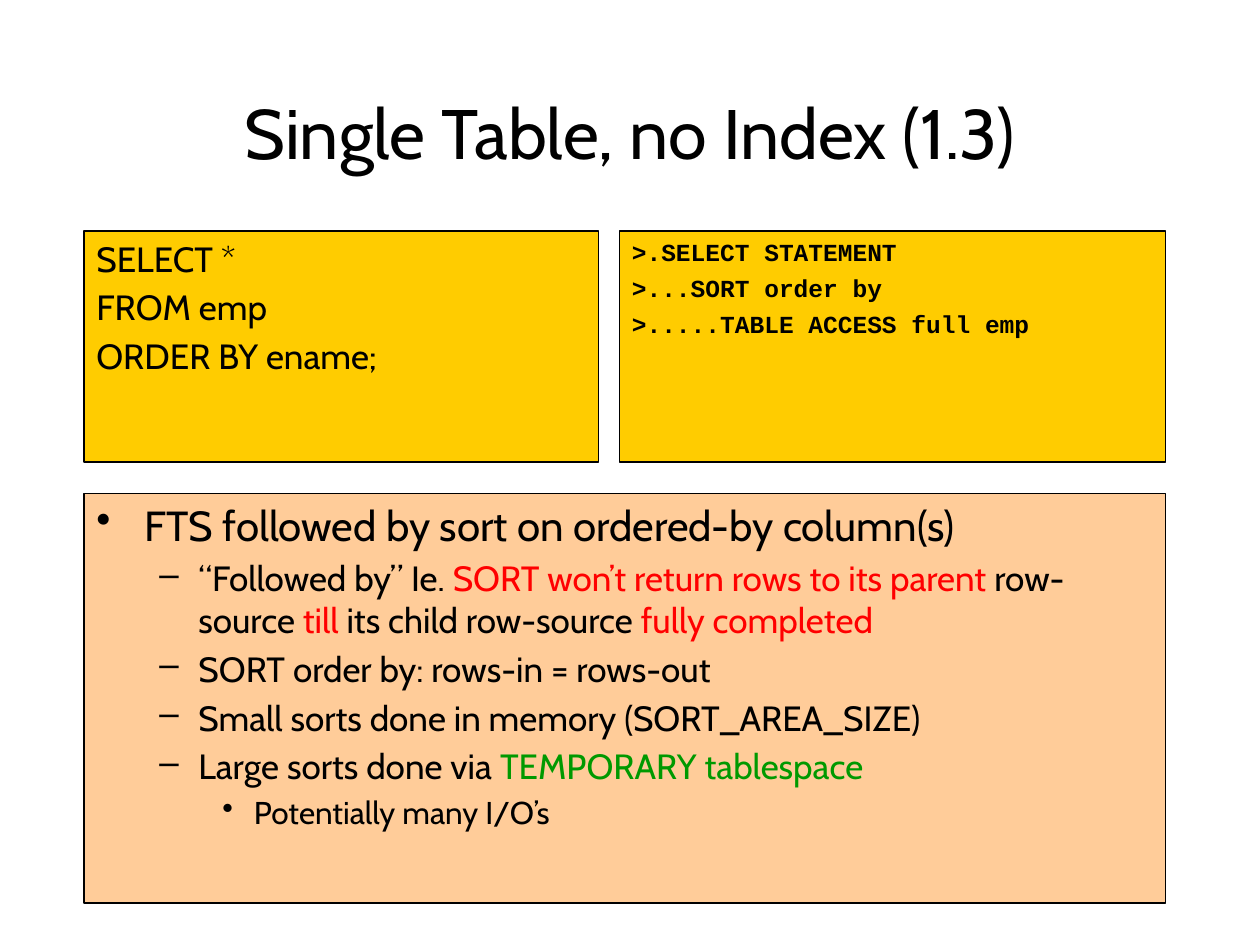
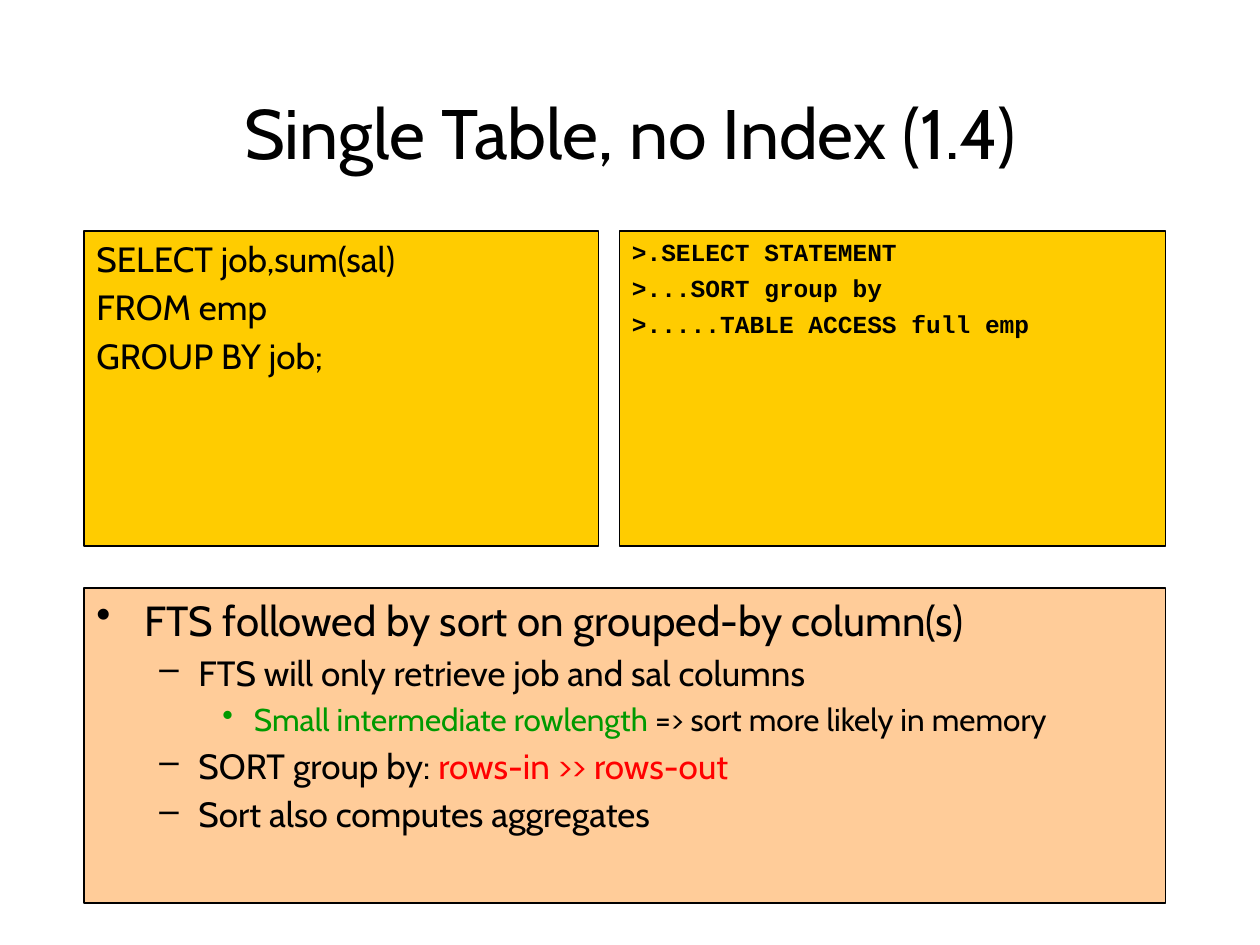
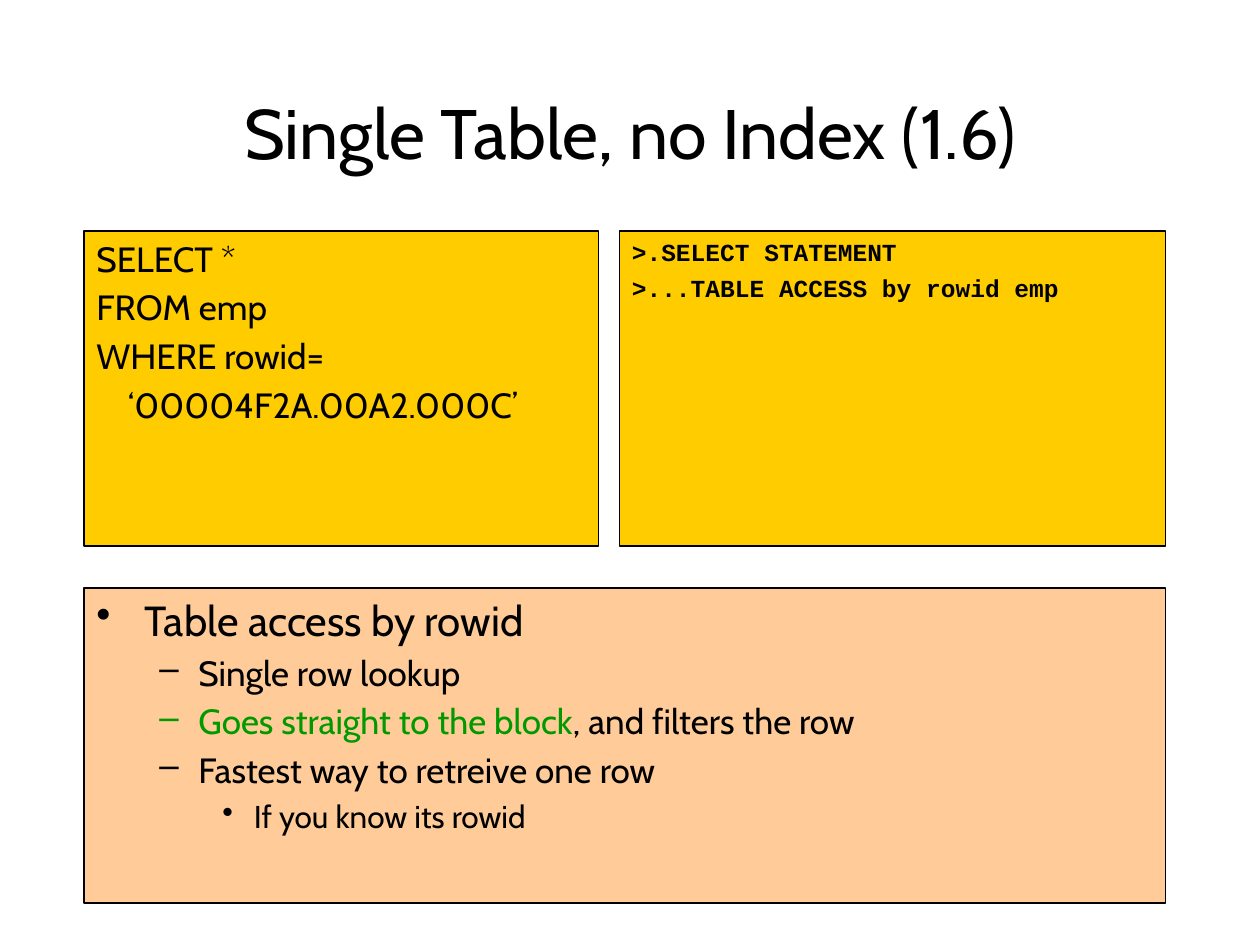
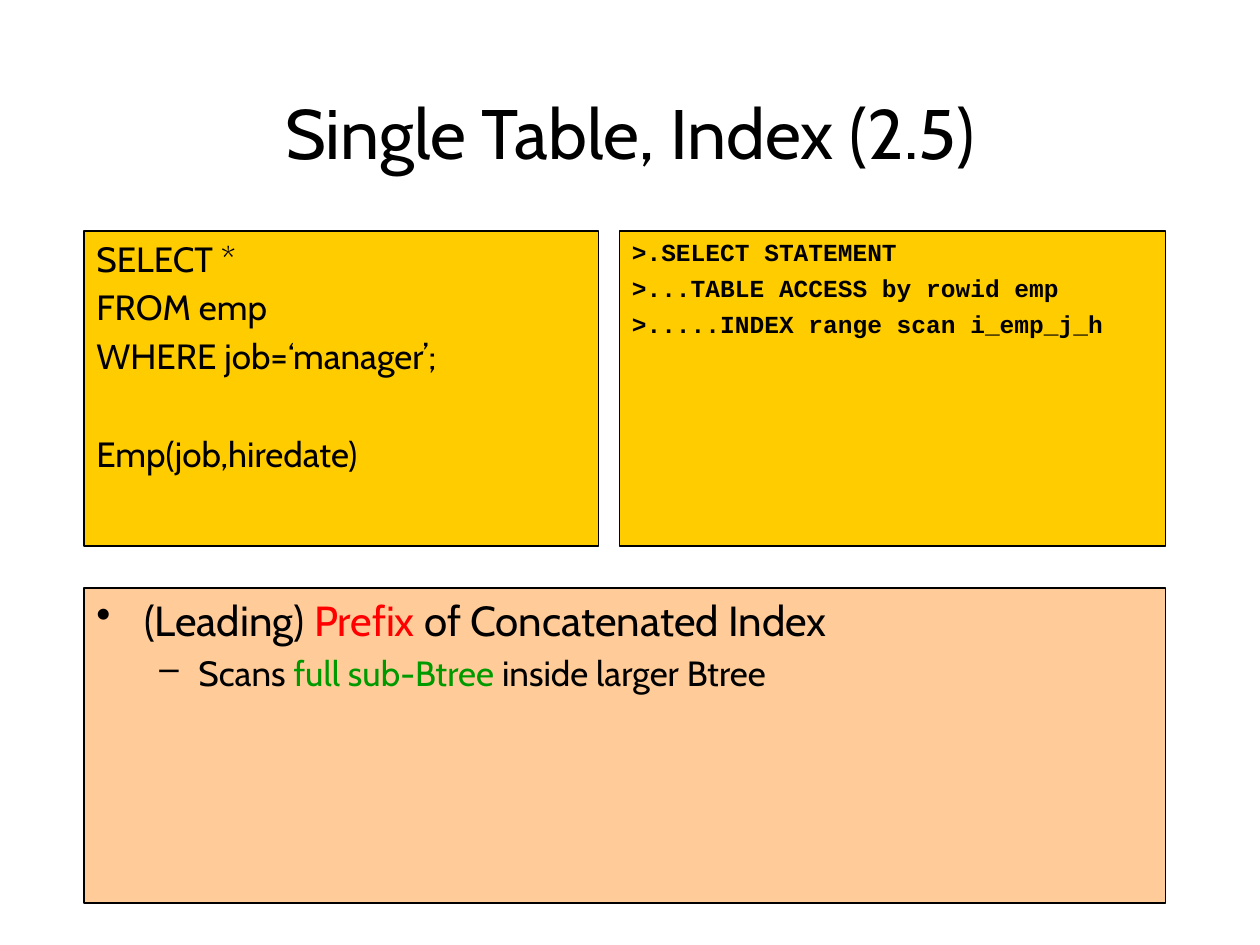
"""Build four slides on single-table query plans."""
from dataclasses import dataclass
from lxml.etree import SubElement
from pptx import Presentation
from pptx.dml.color import RGBColor
from pptx.enum.shapes import MSO_SHAPE
from pptx.enum.text import MSO_ANCHOR, MSO_AUTO_SIZE, PP_ALIGN
from pptx.oxml.ns import qn
from pptx.util import Inches, Pt


@dataclass(frozen=True)
class Theme:
    """Colours, fonts, type sizes and spacing of the deck."""
    ink: str = "000000"
    red: str = "FF0000"
    green: str = "009900"
    gold: str = "FFCC00"
    peach: str = "FFCC99"
    sans: str = "Cabin"
    mono: str = "Courier New"
    title: int = 40
    sql: int = 20
    plan: int = 14
    levels: tuple = ((24, 0.38, 0.38, "•"), (20, 0.81, 0.31, "–"), (18, 1.25, 0.25, "•"))
    gap: float = 3.8
    blank: float = 28
    edge: float = 0.75


LOOK = Theme()
COLS, ROWS = 120, 90
LEFT, TOP, RIGHT, BOTTOM = 8, 22, 111, 86
SPLIT, GUTTER = 57, 2


class Deck:
    """Hold the style and the current slide."""

    def __init__(self, look):
        """Start an empty deck."""
        self.look = look
        self.show = Presentation()
        self.show.slide_width, self.show.slide_height = Inches(10), Inches(7.5)
        self.slide = None

    def place(self, left, top, right, bottom):
        """Turn grid edges into left, top, width and height."""
        col, row = self.show.slide_width / COLS, self.show.slide_height / ROWS
        return (int(left * col), int(top * row),
                int((right - left) * col), int((bottom - top) * row))

    def style(self, para, size, face, bold=False):
        """Set the font of a whole paragraph."""
        font = para.font
        font.size, font.name, font.bold = Pt(size), face, bold
        font.color.rgb = RGBColor.from_string(self.look.ink)

    def open(self, text):
        """Add a slide with its title."""
        self.slide = self.show.slides.add_slide(self.show.slide_layouts[5])
        head = self.slide.shapes.title
        head.left, head.top, head.width, head.height = self.place(9, 8, 111, 17)
        frame = head.text_frame
        frame.text = text
        frame.auto_size = MSO_AUTO_SIZE.NONE
        frame.vertical_anchor = MSO_ANCHOR.MIDDLE
        para = frame.paragraphs[0]
        para.alignment = PP_ALIGN.CENTER
        self.style(para, self.look.title, self.look.sans)

    def panel(self, area, fill):
        """Add a filled, outlined box and return its text frame."""
        box = self.slide.shapes.add_shape(MSO_SHAPE.RECTANGLE, *self.place(*area))
        box.shadow.inherit = False
        box.fill.solid()
        box.fill.fore_color.rgb = RGBColor.from_string(fill)
        box.line.color.rgb = RGBColor.from_string(self.look.ink)
        box.line.width = Pt(self.look.edge)
        frame = box.text_frame
        frame.word_wrap = True
        frame.vertical_anchor = MSO_ANCHOR.TOP
        return frame

    def para(self, frame, first, indent, hang, mark=None, extra=0):
        """Return a new left-aligned paragraph with a hanging indent."""
        para = frame.paragraphs[0] if first else frame.add_paragraph()
        para.alignment = PP_ALIGN.LEFT
        if not first:
            para.space_before = Pt(self.look.gap + extra)
        props = para._p.get_or_add_pPr()
        props.set("marL", str(Inches(indent)))
        props.set("indent", str(-Inches(hang)))
        if mark:
            SubElement(props, qn("a:buChar")).set("char", mark)
        else:
            SubElement(props, qn("a:buNone"))
        return para

    def code(self, area, lines, size, face, bold=False):
        """Add a gold box of code, where an empty line widens the spacing."""
        frame = self.panel(area, self.look.gold)
        extra = 0
        for spot, line in enumerate(lines):
            if not line:
                extra += self.look.blank
                continue
            para = self.para(frame, spot == 0, 0.38, 0.38, extra=extra)
            para.add_run().text = line
            self.style(para, size, face, bold)
            extra = 0

    def notes(self, area, items):
        """Add a peach box of bullets with coloured phrases."""
        frame = self.panel(area, self.look.peach)
        for spot, (level, *parts) in enumerate(items):
            size, indent, hang, mark = self.look.levels[level]
            para = self.para(frame, spot == 0, indent, hang, mark)
            para.level = level
            self.style(para, size, self.look.sans)
            for part in parts:
                text, hue = (part, None) if isinstance(part, str) else part
                run = para.add_run()
                run.text = text
                if hue:
                    run.font.color.rgb = RGBColor.from_string(hue)

    def page(self, title, sql, plan, items, end=52, start=56):
        """Add one slide: query, plan and remarks."""
        self.open(title)
        self.notes((LEFT, start, RIGHT, BOTTOM), items)
        self.code((SPLIT + GUTTER, TOP, RIGHT, end), plan,
                  self.look.plan, self.look.mono, True)
        self.code((LEFT, TOP, SPLIT, end), sql, self.look.sql, self.look.sans)


def red(text):
    """Mark a phrase red."""
    return text, LOOK.red


def green(text):
    """Mark a phrase green."""
    return text, LOOK.green


def main():
    """Build and save the deck."""
    deck = Deck(LOOK)
    deck.page(
        "Single Table, no Index (1.3)",
        ["SELECT *", "FROM emp", "ORDER BY ename;"],
        [">.SELECT STATEMENT", ">...SORT order by", ">.....TABLE ACCESS full emp"],
        [(0, "FTS followed by sort on ordered-by column(s)"),
         (1, "“Followed by” Ie. ", red("SORT won’t return rows to its parent"),
          " row-source ", red("till"), " its child row-source ", red("fully completed")),
         (1, "SORT order by: rows-in = rows-out"),
         (1, "Small sorts done in memory (SORT_AREA_SIZE)"),
         (1, "Large sorts done via ", green("TEMPORARY tablespace")),
         (2, "Potentially many I/O’s")],
        end=44, start=47)
    deck.page(
        "Single Table, no Index (1.4)",
        ["SELECT job,sum(sal)", "FROM emp", "GROUP BY job;"],
        [">.SELECT STATEMENT", ">...SORT group by", ">.....TABLE ACCESS full emp"],
        [(0, "FTS followed by sort on grouped-by column(s)"),
         (1, "FTS will only retrieve job and sal columns"),
         (2, green("Small intermediate rowlength"), " => sort more likely in memory"),
         (1, "SORT group by: ", red("rows-in >> rows-out")),
         (1, "Sort also computes aggregates")])
    deck.page(
        "Single Table, no Index (1.6)",
        ["SELECT *", "FROM emp", "WHERE rowid=", "    ‘00004F2A.00A2.000C’"],
        [">.SELECT STATEMENT", ">...TABLE ACCESS by rowid emp"],
        [(0, "Table access by rowid"),
         (1, "Single row lookup"),
         (1, green("Goes straight to the block"), ", and filters the row"),
         (1, "Fastest way to retreive one row"),
         (2, "If you know its rowid")])
    deck.page(
        "Single Table, Index (2.5)",
        ["SELECT *", "FROM emp", "WHERE job=‘manager’;", "", "Emp(job,hiredate)"],
        [">.SELECT STATEMENT", ">...TABLE ACCESS by rowid emp",
         ">.....INDEX range scan i_emp_j_h"],
        [(0, "(Leading) ", red("Prefix"), " of Concatenated Index"),
         (1, "Scans ", green("full sub-Btree"), " inside larger Btree")])
    deck.show.save("out.pptx")


if __name__ == "__main__":
    main()
